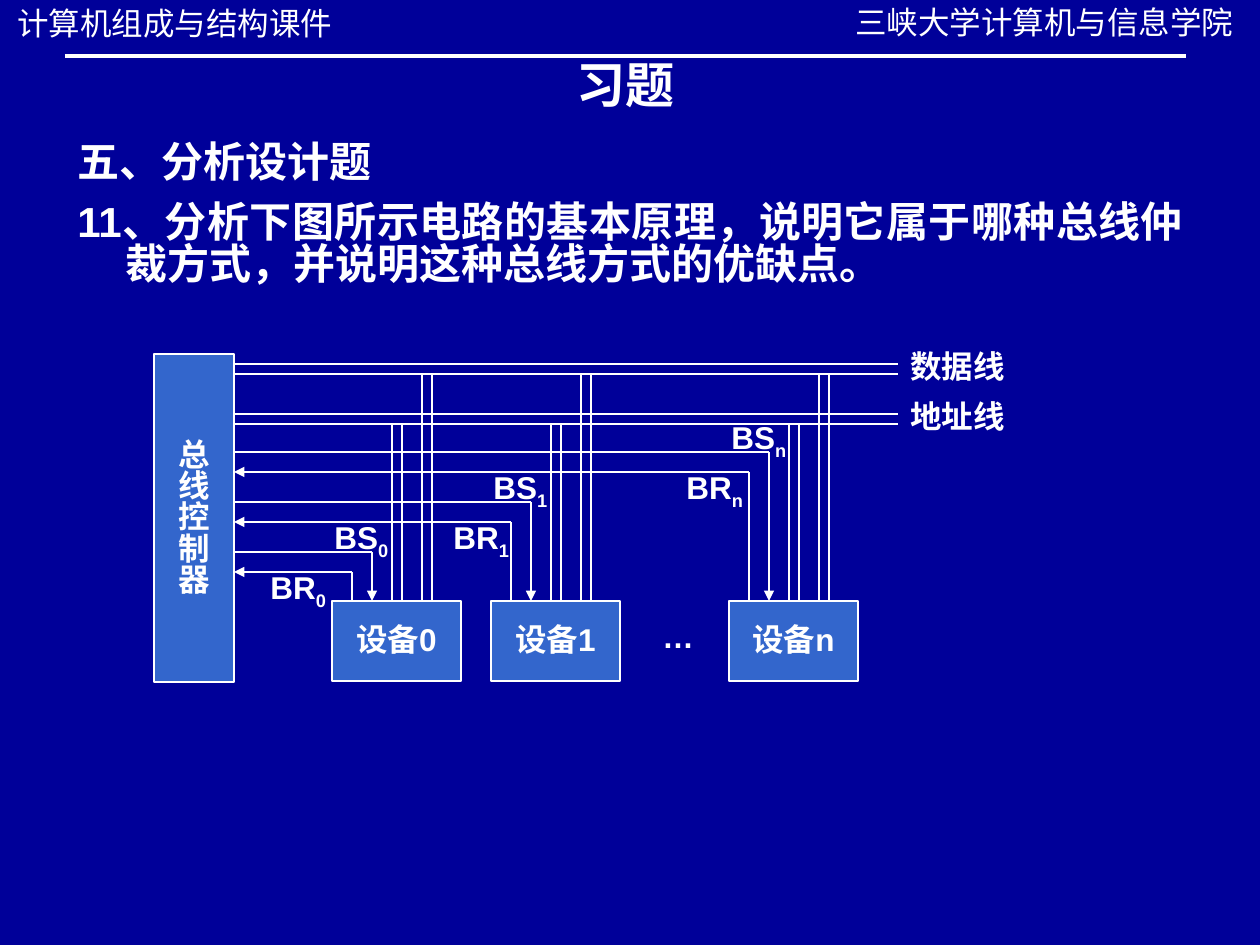
from pptx import Presentation, util as u
from pptx.dml.color import RGBColor
from pptx.enum import shapes, text
from pptx.oxml.ns import qn
from lxml import etree

EMU_PER_PX = 914400 / 126
COLORS = {"background": "000099", "box": "3366CC", "ink": "FFFFFF"}
LATIN, CHINESE = "Arial", "Noto Sans CJK SC"


def px(length):
    return u.Emu(round(length * EMU_PER_PX))


def color(name):
    return RGBColor.from_string(COLORS[name])


class SlideBuilder:
    def __init__(self, slide):
        self.slide = slide
        slide.background.fill.solid()
        slide.background.fill.fore_color.rgb = color("background")

    def format_run(self, run, size, bold, latin):
        run.font.size = u.Pt(size)
        run.font.bold = bold
        run.font.name = latin
        run.font.color.rgb = color("ink")
        east_asian = etree.SubElement(run.font._element, qn("a:ea"))
        east_asian.set("typeface", CHINESE)

    def format_frame(self, frame, size=18, bold=True, latin=LATIN,
                     align=text.PP_ALIGN.LEFT, anchor=text.MSO_ANCHOR.TOP,
                     wrap=True, spacing=0.83):
        frame.auto_size = text.MSO_AUTO_SIZE.NONE
        frame.word_wrap = wrap
        frame.vertical_anchor = anchor
        frame.margin_left = frame.margin_right = u.Inches(0.1)
        frame.margin_top = px(9 if spacing else 6)
        frame.margin_bottom = px(6)
        for paragraph in frame.paragraphs:
            paragraph.alignment = align
            paragraph.space_before = u.Pt(0)
            if spacing:
                paragraph.line_spacing = spacing
            for run in paragraph.runs:
                self.format_run(run, size, bold, latin)

    def title(self, words, left, top, width, height):
        shape = self.slide.shapes.title
        shape.left, shape.top = px(left), px(top)
        shape.width, shape.height = px(width), px(height)
        shape.text_frame.text = words
        self.format_frame(shape.text_frame, 28, latin=CHINESE,
                          align=text.PP_ALIGN.CENTER)

    def text(self, words, left, top, width, height, **style):
        shape = self.slide.shapes.add_textbox(
            px(left), px(top), px(width), px(height))
        shape.text_frame.text = words
        self.format_frame(shape.text_frame, **style)
        return shape.text_frame.paragraphs[0]

    def hang(self, paragraph, indent):
        properties = paragraph._p.get_or_add_pPr()
        properties.set("marL", str(px(indent)))
        properties.set("indent", str(-px(indent)))

    def signal_label(self, name, subscript, left, top, width):
        paragraph = self.text(name, left, top, width, 55, spacing=None)
        run = paragraph.add_run()
        run.text = subscript
        self.format_run(run, 18, True, LATIN)
        run.font._element.set("baseline", "-25000")

    def box(self, words, left, top, width, height):
        shape = self.slide.shapes.add_shape(
            shapes.MSO_SHAPE.RECTANGLE, px(left), px(top), px(width), px(height))
        shape.shadow.inherit = False
        shape.fill.solid()
        shape.fill.fore_color.rgb = color("box")
        shape.line.color.rgb = color("ink")
        shape.line.width = u.Pt(0.75)
        shape.text_frame.text = words
        self.format_frame(shape.text_frame, align=text.PP_ALIGN.CENTER,
                          anchor=text.MSO_ANCHOR.MIDDLE, wrap=False)

    def line(self, x1, y1, x2, y2, weight=0.75, arrow=False):
        connector = self.slide.shapes.add_connector(
            shapes.MSO_CONNECTOR.STRAIGHT, px(x1), px(y1), px(x2), px(y2))
        connector.line.color.rgb = color("ink")
        connector.line.width = u.Pt(weight)
        if arrow:
            tail = etree.SubElement(connector.line._get_or_add_ln(), qn("a:tailEnd"))
            tail.set("type", "triangle")
        etree.SubElement(connector._element.spPr, qn("a:effectLst"))


def main():
    presentation = Presentation()
    presentation.slide_width, presentation.slide_height = px(1260), px(945)
    slide = presentation.slides.add_slide(presentation.slide_layouts[5])
    builder = SlideBuilder(slide)

    # Page header
    builder.line(65, 56, 1186, 56, weight=2.25)
    builder.text("计算机组成与结构课件", 5, 1, 362, 50, bold=False)
    builder.text("三峡大学计算机与信息学院", 843, 0, 417, 50, bold=False)

    # Title and question
    builder.title("习题", 65, 55, 1121, 72)
    builder.text("五、分析设计题", 65, 135, 1121, 63, size=24, latin=CHINESE)
    question = builder.text(
        "11、分析下图所示电路的基本原理，说明它属于哪种总线仲裁方式，"
        "并说明这种总线方式的优缺点。",
        65, 195, 1131, 113, size=24, align=text.PP_ALIGN.JUSTIFY)
    builder.hang(question, 48)

    # Bus controller
    bus_left, bus_right, device_top = 234, 898, 601
    builder.box("\n".join("总线控制器"), 154, 354, bus_left - 154, 328)

    # Data and address buses: a pair of lines each
    data_y, address_y, pair_gap = 364, 414, 10
    for name, y in (("数据线", data_y), ("地址线", address_y)):
        for line_y in (y, y + pair_gap):
            builder.line(bus_left, line_y, bus_right, line_y)
        builder.text(name, bus_right, y - 20, 149, 50)

    # Devices with their bus taps, select (BS) and request (BR) signals
    devices = (("0", 332, 552, 258), ("1", 491, 502, 441), ("n", 729, 452, 674))
    for index, left, select_y, request_label_left in devices:
        builder.box("设备" + index, left, device_top, 129, 80)
        for offset, y in ((60, address_y), (90, data_y)):
            for x in (left + offset, left + offset + pair_gap):
                builder.line(x, device_top, x, y + pair_gap)

        select_x, request_x, request_y = left + 40, left + 20, select_y + 20
        builder.line(bus_left, select_y, select_x, select_y)
        builder.line(select_x, select_y, select_x, device_top, arrow=True)
        builder.line(request_x, device_top, request_x, request_y)
        builder.line(request_x, request_y, bus_left, request_y, arrow=True)
        builder.signal_label("BS", index, left - 10, select_y - 40, 100)
        builder.signal_label("BR", index, request_label_left, select_y + 10, 105)
    builder.text("…", 650, 611, 89, 50, spacing=None)

    presentation.save("out.pptx")


if __name__ == "__main__":
    main()
